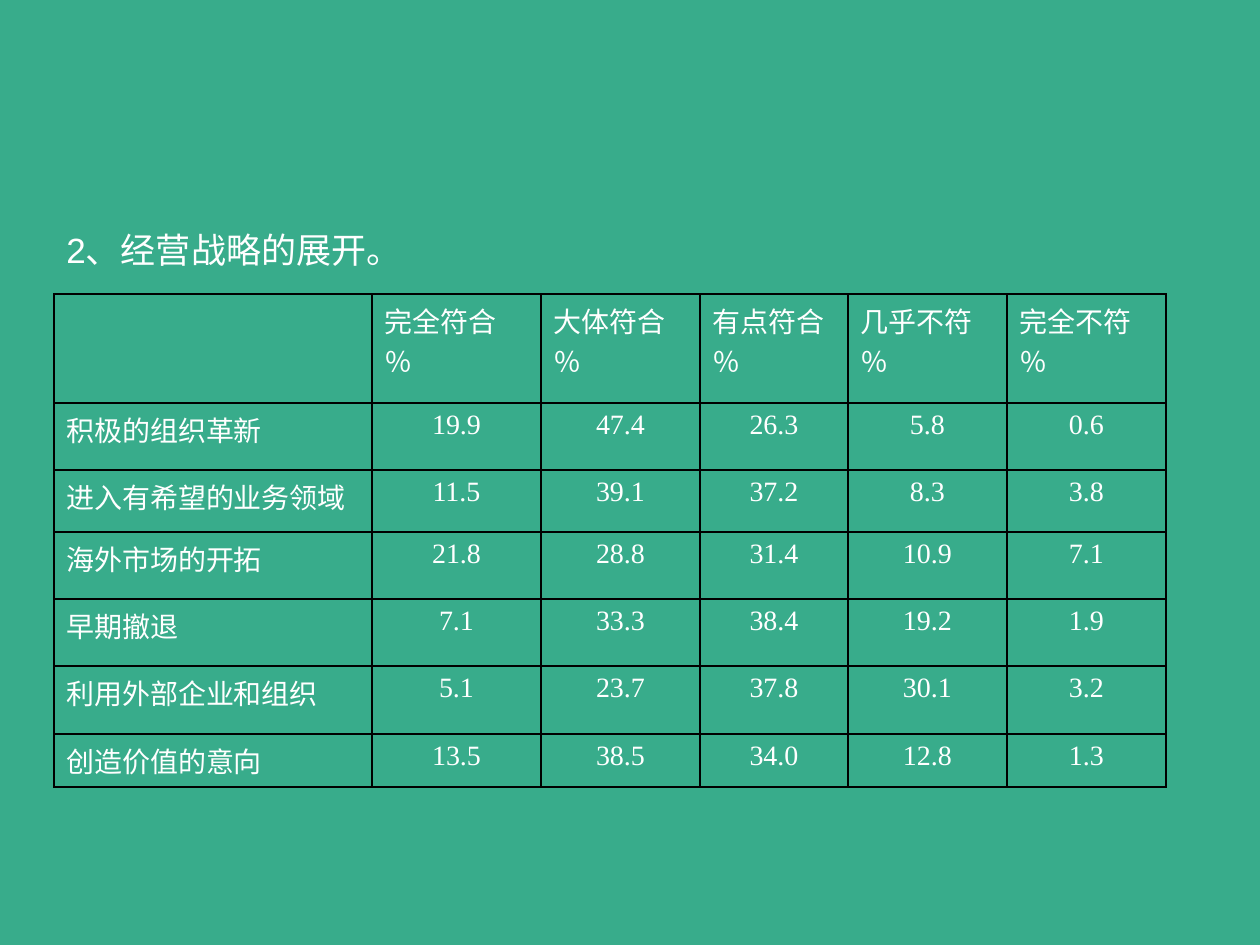
import pptx
import pptx.dml.color
import pptx.enum.text
import pptx.oxml
import pptx.oxml.ns
import pptx.util

PX = 914400 / 126
GREEN = pptx.dml.color.RGBColor(0x38, 0xAC, 0x8B)
WHITE = pptx.dml.color.RGBColor(0xFF, 0xFF, 0xFF)
BLACK = pptx.dml.color.RGBColor(0x00, 0x00, 0x00)
ALIGN = pptx.enum.text.PP_ALIGN

COL_WIDTHS = [318, 169, 159, 148, 159, 159]
ROW_HEIGHTS = [109, 67, 62, 67, 67, 68, 53]
ANSWERS = ["完全符合", "大体符合", "有点符合", "几乎不符", "完全不符"]
RESULTS = [
    ("积极的组织革新", 19.9, 47.4, 26.3, 5.8, 0.6),
    ("进入有希望的业务领域", 11.5, 39.1, 37.2, 8.3, 3.8),
    ("海外市场的开拓", 21.8, 28.8, 31.4, 10.9, 7.1),
    ("早期撤退", 7.1, 33.3, 38.4, 19.2, 1.9),
    ("利用外部企业和组织", 5.1, 23.7, 37.8, 30.1, 3.2),
    ("创造价值的意向", 13.5, 38.5, 34.0, 12.8, 1.3),
]


def emu(px):
    """Convert pixels to EMU."""
    return pptx.util.Emu(round(px * PX))


def write(tf, text, size, font, align):
    """Fill a text frame and format every run."""
    tf.text = text
    for p in tf.paragraphs:
        p.alignment = align
        for r in p.runs:
            r.font.size = pptx.util.Pt(size)
            r.font.name = font
            r.font.color.rgb = WHITE


def add_borders(cell):
    """Draw a thin black line on all four sides of a cell."""
    tcPr = cell._tc.get_or_add_tcPr()
    for i, side in enumerate(("lnL", "lnR", "lnT", "lnB")):
        tcPr.insert(i, pptx.oxml.parse_xml(
            f'<a:{side} {pptx.oxml.ns.nsdecls("a")} w="12700"><a:solidFill>'
            f'<a:srgbClr val="{BLACK}"/></a:solidFill></a:{side}>'))


def add_heading(s, x, y, w, h):
    """Place the section heading in its box."""
    tf = s.shapes.add_textbox(emu(x), emu(y), emu(w), emu(h)).text_frame
    tf.word_wrap = True
    tf.vertical_anchor = pptx.enum.text.MSO_ANCHOR.MIDDLE
    write(tf, "2、经营战略的展开。", 20, "Arial", ALIGN.LEFT)


def add_survey_table(s, x, y):
    """Place the survey table with its top left corner at x, y."""
    header = [""] + [f"{answer}\n％" for answer in ANSWERS]
    rows = [header] + [[row[0]] + [f"{v:.1f}" for v in row[1:]] for row in RESULTS]
    table = s.shapes.add_table(
        len(rows), len(header), emu(x), emu(y),
        emu(sum(COL_WIDTHS)), emu(sum(ROW_HEIGHTS))).table
    for col, w in zip(table.columns, COL_WIDTHS):
        col.width = emu(w)
    for row, h in zip(table.rows, ROW_HEIGHTS):
        row.height = emu(h)
    table.first_row = table.horz_banding = False
    for i, texts in enumerate(rows):
        for j, text in enumerate(texts):
            cell = table.cell(i, j)
            align = ALIGN.JUSTIFY if i == 0 else ALIGN.CENTER if j else ALIGN.LEFT
            write(cell.text_frame, text, 16, "Times New Roman", align)
            cell.fill.background()
            add_borders(cell)


def main():
    """Build and save the slide."""
    prs = pptx.Presentation()
    prs.slide_width, prs.slide_height = emu(1260), emu(945)
    s = prs.slides.add_slide(prs.slide_layouts[6])
    s.background.fill.solid()
    s.background.fill.fore_color.rgb = GREEN
    add_survey_table(s, 54, 294)
    add_heading(s, 54, 222, 437, 54)
    prs.save("out.pptx")


if __name__ == "__main__":
    main()
